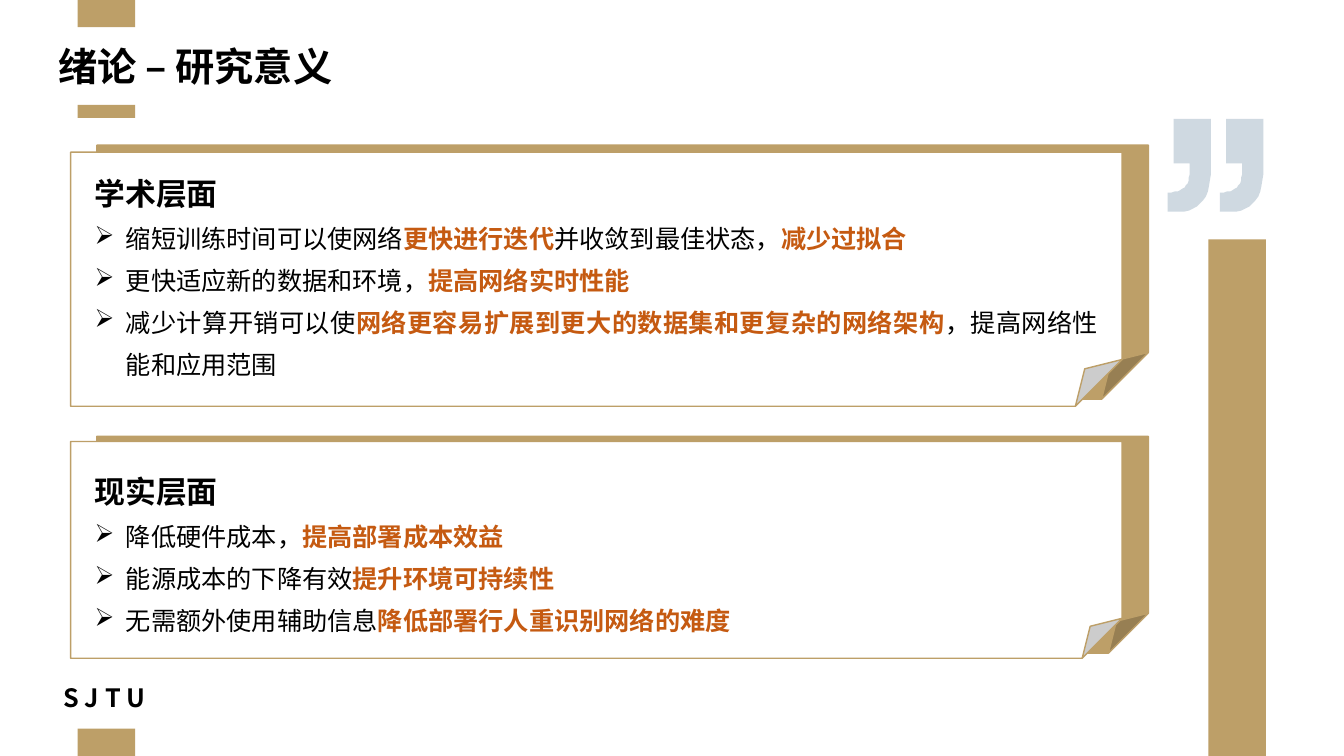
from dataclasses import dataclass

from lxml.etree import SubElement
from pptx import Presentation
from pptx.dml.color import RGBColor
from pptx.enum.shapes import MSO_SHAPE as Preset
from pptx.enum.text import MSO_ANCHOR as Anchor, MSO_AUTO_SIZE as AutoSize, PP_ALIGN as Align
from pptx.oxml.ns import qn
from pptx.util import Inches, Pt


@dataclass(frozen=True)
class Theme:
    font: str = "Noto Sans CJK SC"
    gold: str = "BD9F68"
    paper: str = "FFFFFF"
    quote: str = "C0CDD8"
    ink: str = "000000"
    accent: str = "C55A11"
    title: int = 28
    heading: int = 22
    body: int = 18
    leading: int = 30


THEME = Theme()
WIDTH, HEIGHT = Inches(13.33), Inches(7.5)
HANGING = Inches(0.31)

# Each panel: back top, front top, sheet height, text top, text height (percent of
# slide height), heading, bullets. Odd spans of a bullet are emphasised.
PANELS = [
    (57.73, 58.4, 28.67, 61.2, 23.2, "现实层面", [
        ("降低硬件成本，", "提高部署成本效益"),
        ("能源成本的下降有效", "提升环境可持续性"),
        ("无需额外使用辅助信息", "降低部署行人重识别网络的难度"),
    ]),
    (19.2, 20.13, 33.6, 21.73, 28.8, "学术层面", [
        ("缩短训练时间可以使网络", "更快进行迭代", "并收敛到最佳状态，", "减少过拟合"),
        ("更快适应新的数据和环境，", "提高网络实时性能"),
        ("减少计算开销可以使", "网络更容易扩展到更大的数据集和更复杂的网络架构",
         "，提高网络性能和应用范围"),
    ]),
]


def place(left, top, width, height):
    """Turn percentages of the slide into lengths."""
    return [round(share * side / 100) for share, side in
            zip((left, top, width, height), (WIDTH, HEIGHT, WIDTH, HEIGHT))]


def paint(shape, fill, line=None):
    shape.shadow.inherit = False
    shape.fill.solid()
    shape.fill.fore_color.rgb = RGBColor.from_string(fill)
    if line:
        shape.line.color.rgb = RGBColor.from_string(line)
        shape.line.width = Pt(1)
    else:
        shape.line.fill.background()


def add_bar(page, *area):
    paint(page.shapes.add_shape(Preset.RECTANGLE, *place(*area)), THEME.gold)


def add_sheet(group, *area, fill):
    sheet = group.shapes.add_shape(Preset.FOLDED_CORNER, *place(*area))
    paint(sheet, fill, THEME.gold)
    # Size of the turned corner
    guides = next(sheet._element.iter(qn("a:avLst")))
    SubElement(guides, qn("a:gd"), name="adj", fmla="val 18400")


def add_box(page, *area, anchor=Anchor.TOP, margin=None):
    frame = page.shapes.add_textbox(*place(*area)).text_frame
    frame.word_wrap = True
    frame.auto_size = AutoSize.SHAPE_TO_FIT_TEXT
    frame.vertical_anchor = anchor
    if margin is not None:
        frame.margin_left = frame.margin_right = margin
        frame.margin_top = frame.margin_bottom = margin
    return frame


def write(para, text, size=THEME.body, color=THEME.ink, bold=False):
    span = para.add_run()
    span.text = text
    span.font.name = THEME.font
    span.font.size = Pt(size)
    span.font.bold = bold
    span.font.color.rgb = RGBColor.from_string(color)
    SubElement(span.font._element, qn("a:ea")).set("typeface", THEME.font)


def add_bullet(frame, spans):
    para = frame.add_paragraph()
    props = para._p.get_or_add_pPr()
    props.set("marL", str(HANGING))
    props.set("indent", str(-HANGING))
    SubElement(props, qn("a:buChar")).set("char", "➢")
    for index, text in enumerate(spans):
        strong = index % 2 == 1
        write(para, text, color=THEME.accent if strong else THEME.ink, bold=strong)


def add_panel(page, back_top, front_top, height, text_top, text_height, heading, bullets):
    # Two stacked sheets
    group = page.shapes.add_group_shape()
    add_sheet(group, 7.2, back_top, 78.24, height, fill=THEME.gold)
    add_sheet(group, 5.25, front_top, 78.24, height, fill=THEME.paper)
    # Heading and bullets
    frame = add_box(page, 6.3, text_top, 76.14, text_height)
    write(frame.paragraphs[0], heading, size=THEME.heading, bold=True)
    for spans in bullets:
        add_bullet(frame, spans)
    for para in frame.paragraphs:
        para.alignment = Align.JUSTIFY
        para.line_spacing = Pt(THEME.leading)


def curve(start, first, second, end, steps=12):
    """Points along a cubic curve, without its start."""
    points = []
    for step in range(1, steps + 1):
        t = step / steps
        weights = ((1 - t) ** 3, 3 * t * (1 - t) ** 2, 3 * t * t * (1 - t), t ** 3)
        points.append(tuple(sum(w * point[axis] for w, point in
                                zip(weights, (start, first, second, end)))
                            for axis in (0, 1)))
    return points


def add_quote_marks(page, left, top, pitch=52):
    # One mark, in hundredths of an inch
    mark = [(43, 0), (43, 48),
            *curve((43, 48), (43, 77), (33, 92), (11, 92)),
            (0, 92), (0, 73),
            *curve((0, 73), (15, 73), (22, 66), (22, 52)),
            (22, 44), (6, 44), (6, 0)]
    builder = None
    for shift in (0, pitch):
        outline = [(x + shift, y) for x, y in mark]
        if builder is None:
            builder = page.shapes.build_freeform(*outline[0], scale=Inches(0.01))
        else:
            builder.move_to(*outline[0])
        builder.add_line_segments(outline[1:], close=True)
    marks = builder.convert_to_shape(*place(left, top, 0, 0)[:2])
    paint(marks, THEME.quote)
    tint = next(marks._element.spPr.iter(qn("a:srgbClr")))
    SubElement(tint, qn("a:alpha")).set("val", "75000")


def main():
    deck = Presentation()
    deck.slide_width, deck.slide_height = WIDTH, HEIGHT
    page = deck.slides.add_slide(deck.slide_layouts[6])

    # Gold bars on the left and the right
    for top, height in ((13.87, 1.73), (0, 3.6), (96.4, 3.6)):
        add_bar(page, 5.78, top, 4.28, height)
    add_bar(page, 89.91, 31.67, 4.28, 68.33)
    add_quote_marks(page, 86.87, 15.73)

    # Footer and title
    footer = add_box(page, 4.73, 90.67, 6.38, 3.6, anchor=Anchor.BOTTOM, margin=0)
    footer.paragraphs[0].line_spacing = 0.9
    write(footer.paragraphs[0], "S J T U", bold=True)
    title = add_box(page, 3.6, 4.93, 90.62, 7.6)
    write(title.paragraphs[0], "绪论 – 研究意义", size=THEME.title, bold=True)

    # Text panels
    for panel in PANELS:
        add_panel(page, *panel)

    deck.save("out.pptx")


if __name__ == "__main__":
    main()
